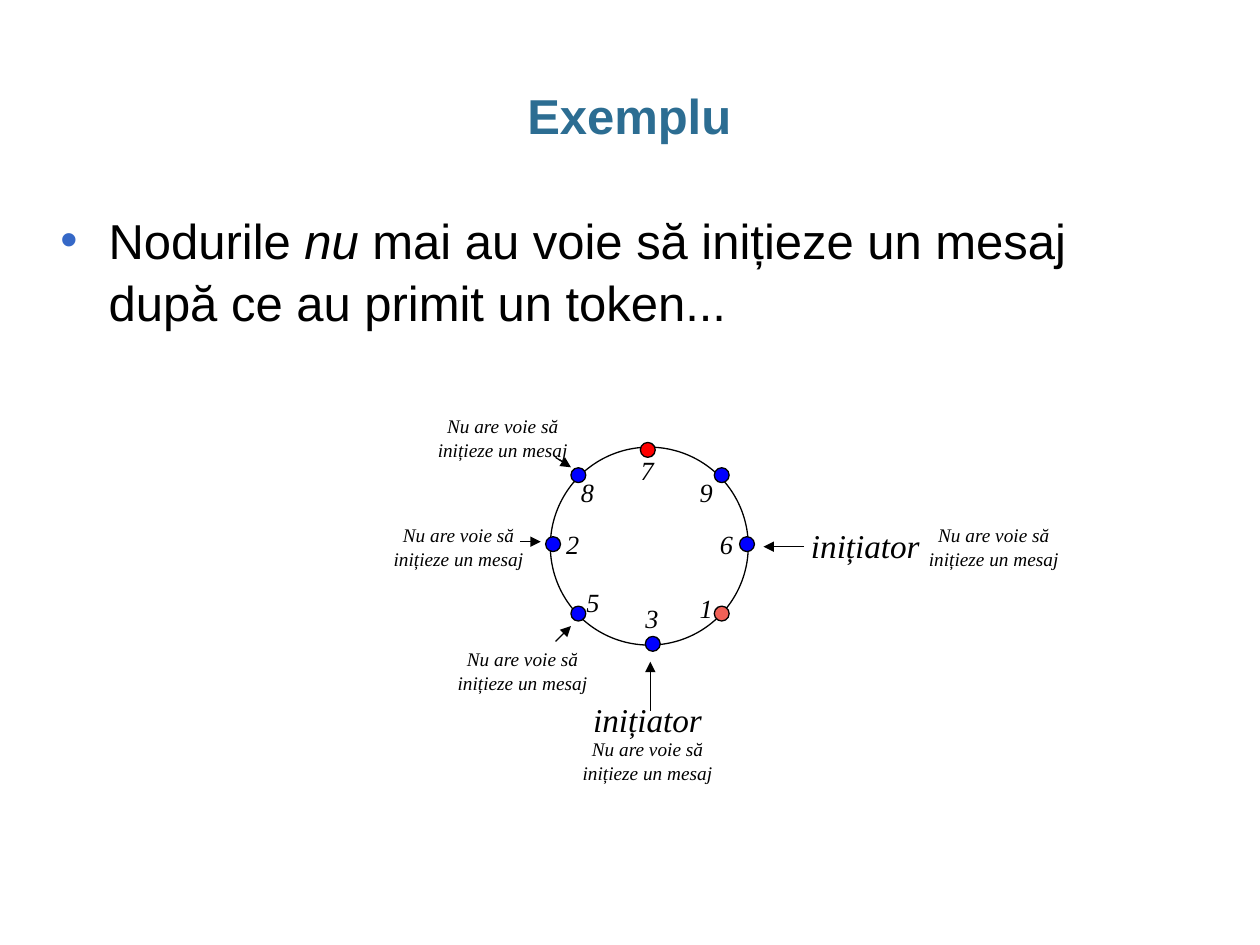
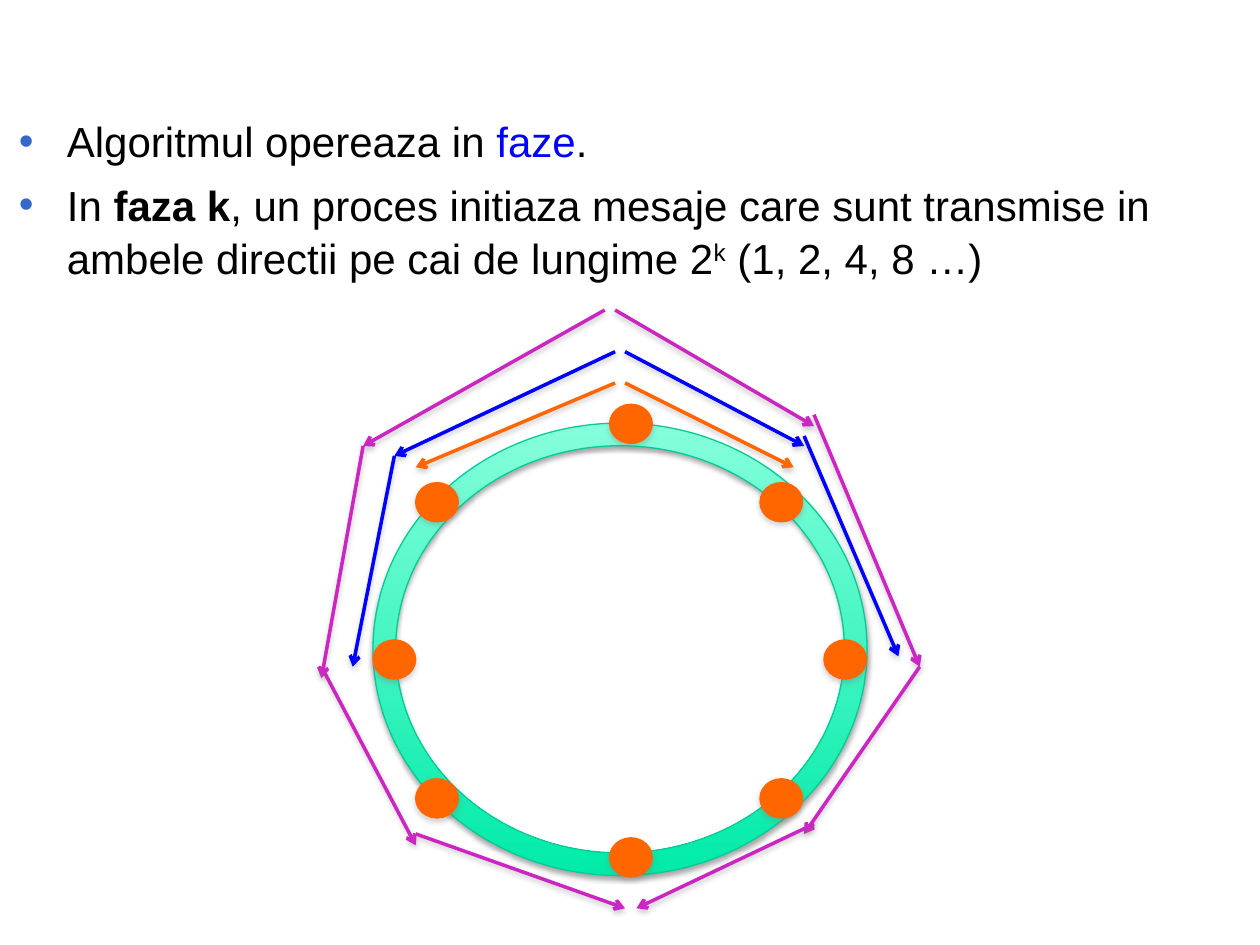
"""Build two slides on leader election in a ring."""
from lxml import etree
from pptx import Presentation
from pptx.dml.color import RGBColor
from pptx.enum.shapes import MSO_CONNECTOR, MSO_SHAPE
from pptx.enum.text import MSO_ANCHOR, PP_ALIGN
from pptx.oxml.ns import qn
from pptx.util import Cm, Pt

STRAIGHT = MSO_CONNECTOR.STRAIGHT
OVAL, DONUT, DOT = MSO_SHAPE.OVAL, MSO_SHAPE.DONUT, MSO_SHAPE.FLOWCHART_CONNECTOR
MIDDLE, CENTER = MSO_ANCHOR.MIDDLE, PP_ALIGN.CENTER

BLACK = RGBColor(0x00, 0x00, 0x00)
TITLE_BLUE = RGBColor(0x2C, 0x6D, 0x92)
BULLET_BLUE = RGBColor(0x35, 0x68, 0xC7)
BLUE = RGBColor(0x00, 0x00, 0xFF)
RED = RGBColor(0xFF, 0x00, 0x00)
CORAL = RGBColor(0xF0, 0x61, 0x57)
ORANGE = RGBColor(0xFF, 0x66, 0x00)
MAGENTA = RGBColor(0xCC, 0x26, 0xC2)
MINT = RGBColor(0x85, 0xFF, 0xDB)
GREEN = RGBColor(0x00, 0xEB, 0xA8)
RING_EDGE = RGBColor(0x00, 0xCC, 0x98)
GRAY = RGBColor(0x80, 0x80, 0x80)

LINE_SPACING = 1.05
HANGING = Cm(0.97)


def add_label(slide, text, left, top, width, height, size):
    """Add a centred italic label without margins."""
    frame = slide.shapes.add_textbox(Cm(left), Cm(top), Cm(width), Cm(height)).text_frame
    frame.margin_left = frame.margin_right = frame.margin_top = frame.margin_bottom = 0
    frame.word_wrap = True
    frame.text = text
    paragraph = frame.paragraphs[0]
    paragraph.alignment = CENTER
    paragraph.line_spacing = LINE_SPACING
    font = paragraph.runs[0].font
    font.name, font.size, font.italic = "Times New Roman", Pt(size), True
    font.color.rgb = BLACK


def add_arrow(slide, start, end, color, width, head):
    """Add a straight arrow between two points in centimetres."""
    arrow = slide.shapes.add_connector(STRAIGHT, *(Cm(value) for value in start + end))
    arrow.line.color.rgb = color
    arrow.line.width = Pt(width)
    etree.SubElement(arrow.line._get_or_add_ln(), qn("a:tailEnd"), type=head)
    etree.SubElement(arrow._element.spPr, qn("a:effectLst"))
    return arrow


prs = Presentation()
prs.slide_width, prs.slide_height = Cm(25.4), Cm(19.05)
example = prs.slides.add_slide(prs.slide_layouts[5])
phases = prs.slides.add_slide(prs.slide_layouts[6])

title = example.shapes.title
title.left, title.top, title.width, title.height = Cm(0.86), Cm(1.73), Cm(23.65), Cm(1.27)
title.text_frame.margin_left = title.text_frame.margin_right = 0
title.text_frame.vertical_anchor = MIDDLE
title.text_frame.text = "Exemplu"
heading = title.text_frame.paragraphs[0]
heading.alignment = CENTER
heading.line_spacing = 0.95
heading_font = heading.runs[0].font
heading_font.name, heading_font.size, heading_font.bold = "Arial", Pt(28), True
heading_font.color.rgb = TITLE_BLUE

bodies = [
    (example, (0.97, 4.06, 22.86, 12.57), 28, [
        [("Nodurile ", ""), ("nu", "italic"),
         (" mai au voie să inițieze un mesaj după ce au primit un token...", "")],
    ]),
    (phases, (0.13, 2.16, 24.33, 4.24), 24, [
        [("Algoritmul opereaza in ", ""), ("faze", "blue"), (".", "")],
        [("In ", ""), ("faza k", "bold"),
         (", un proces initiaza mesaje care sunt transmise in ambele directii "
          "pe cai de lungime 2", ""),
         ("k", "superscript"), (" (1, 2, 4, 8 …)", "")],
    ]),
]
for slide, box, size, bullets in bodies:
    frame = slide.shapes.add_textbox(*(Cm(value) for value in box)).text_frame
    frame.word_wrap = True
    for index, pieces in enumerate(bullets):
        paragraph = frame.add_paragraph() if index else frame.paragraphs[0]
        properties = paragraph._p.get_or_add_pPr()
        properties.set("marL", str(HANGING))
        properties.set("indent", str(-HANGING))
        bullet_color = etree.SubElement(properties, qn("a:buClr"))
        etree.SubElement(bullet_color, qn("a:srgbClr"), val=str(BULLET_BLUE))
        etree.SubElement(properties, qn("a:buFont"), typeface="Arial")
        etree.SubElement(properties, qn("a:buChar"), char="•")
        paragraph.line_spacing = LINE_SPACING
        if index:
            paragraph.space_before = Pt(6)
        for text, style in pieces:
            run = paragraph.add_run()
            run.text = text
            run.font.name, run.font.size = "Arial", Pt(size)
            run.font.bold, run.font.italic = style == "bold", style == "italic"
            run.font.color.rgb = BLUE if style == "blue" else BLACK
            if style == "superscript":
                run._r.get_or_add_rPr().set("baseline", "30000")

NODE = 0.3
circles = [(13.09, 11.01, 3.99, None)]
nodes = [
    ("3", 13.16, 12.98, BLUE, 12.7, 12.12),
    ("7", 13.06, 9.07, RED, 12.6, 9.12),
    ("2", 11.15, 10.97, BLUE, 11.1, 10.62),
    ("6", 15.06, 10.97, BLUE, 14.2, 10.62),
    ("5", 11.66, 12.37, BLUE, 11.51, 11.79),
    ("1", 14.55, 12.37, CORAL, 13.79, 11.91),
    ("9", 14.55, 9.58, BLUE, 13.79, 9.58),
    ("8", 11.66, 9.58, BLUE, 11.4, 9.58),
]
circles += [(x, y, NODE, color) for _, x, y, color, _, _ in nodes]
for x, y, diameter, color in circles:
    circle = example.shapes.add_shape(
        OVAL, Cm(x - diameter / 2), Cm(y - diameter / 2), Cm(diameter), Cm(diameter))
    circle.shadow.inherit = False
    circle.line.color.rgb = BLACK
    circle.line.width = Pt(0.75)
    if color is None:
        circle.fill.background()
    else:
        circle.fill.solid()
        circle.fill.fore_color.rgb = color

for number, _, _, _, left, top in nodes:
    add_label(example, number, left, top, 0.89, 0.64, 15)
for left, top in [(11.71, 14.05), (16.1, 10.54)]:
    add_label(example, "inițiator", left, top, 2.69, 0.81, 19)
for left, top in [(9.19, 13.03), (7.9, 10.52), (11.71, 14.83), (18.69, 10.52), (8.79, 8.33)]:
    add_label(example, "Nu are voie să inițieze un mesaj", left, top, 2.69, 0.94, 11)

pointers = [
    ((13.11, 14.33), (13.11, 13.34)),
    ((11.2, 12.93), (11.51, 12.62)),
    ((10.49, 10.92), (10.9, 10.92)),
    ((16.21, 11.02), (15.39, 11.02)),
    ((11.2, 9.22), (11.51, 9.42)),
]
for start, end in pointers:
    add_arrow(example, start, end, BLACK, 0.75, "triangle")

ring = phases.shapes.add_shape(DONUT, Cm(7.52), Cm(8.53), Cm(9.96), Cm(9.12))
ring.adjustments[0] = 0.05
ring.fill.gradient()
ring.fill.gradient_angle = 270
for stop, color, position in zip(ring.fill.gradient_stops, (MINT, GREEN), (0, 1)):
    stop.color.rgb = color
    stop.position = position
ring.line.color.rgb = RING_EDGE
ring.line.width = Pt(0.75)
ring.shadow.inherit = False
shadowed = [(ring, BLACK, 35)]

processes = [(12.29, 8.15), (12.29, 16.89), (7.52, 12.9), (16.61, 12.9)]
processes += [(left, top) for left in (8.38, 15.32) for top in (9.73, 15.7)]
for left, top in processes:
    process = phases.shapes.add_shape(DOT, Cm(left), Cm(top), Cm(0.86), Cm(0.79))
    process.fill.solid()
    process.fill.fore_color.rgb = ORANGE
    process.line.color.rgb = ORANGE
    process.line.width = Pt(0.75)
    process.shadow.inherit = False
    shadowed.append((process, GRAY, 35))

messages = {
    ORANGE: [((12.6, 7.72), (16, 9.42)), ((12.4, 7.72), (8.38, 9.42))],
    BLUE: [
        ((12.4, 7.09), (7.95, 9.19)), ((7.95, 9.19), (7.11, 13.44)),
        ((12.6, 7.09), (16.21, 8.99)), ((16.21, 8.79), (18.11, 13.23)),
    ],
    MAGENTA: [
        ((12.19, 6.25), (7.32, 8.99)), ((7.32, 8.99), (6.48, 13.67)),
        ((6.48, 13.44), (8.38, 17.04)), ((8.38, 16.81), (12.6, 18.31)),
        ((12.4, 6.25), (16.41, 8.59)), ((16.41, 8.36), (18.54, 13.44)),
        ((18.54, 13.44), (16.21, 16.81)), ((16.41, 16.61), (12.83, 18.31)),
    ],
}
for color, hops in messages.items():
    for start, end in hops:
        shadowed.append((add_arrow(phases, start, end, color, 2, "arrow"), GRAY, 38))

for part, color, opacity in shadowed:
    effects = part._element.spPr.find(qn("a:effectLst"))
    shadow = etree.SubElement(
        effects, qn("a:outerShdw"), blurRad=str(Pt(3.1)), dist=str(Pt(1.8)),
        dir="5400000", rotWithShape="0")
    shade = etree.SubElement(shadow, qn("a:srgbClr"), val=str(color))
    etree.SubElement(shade, qn("a:alpha"), val=str(opacity * 1000))

prs.save("out.pptx")
